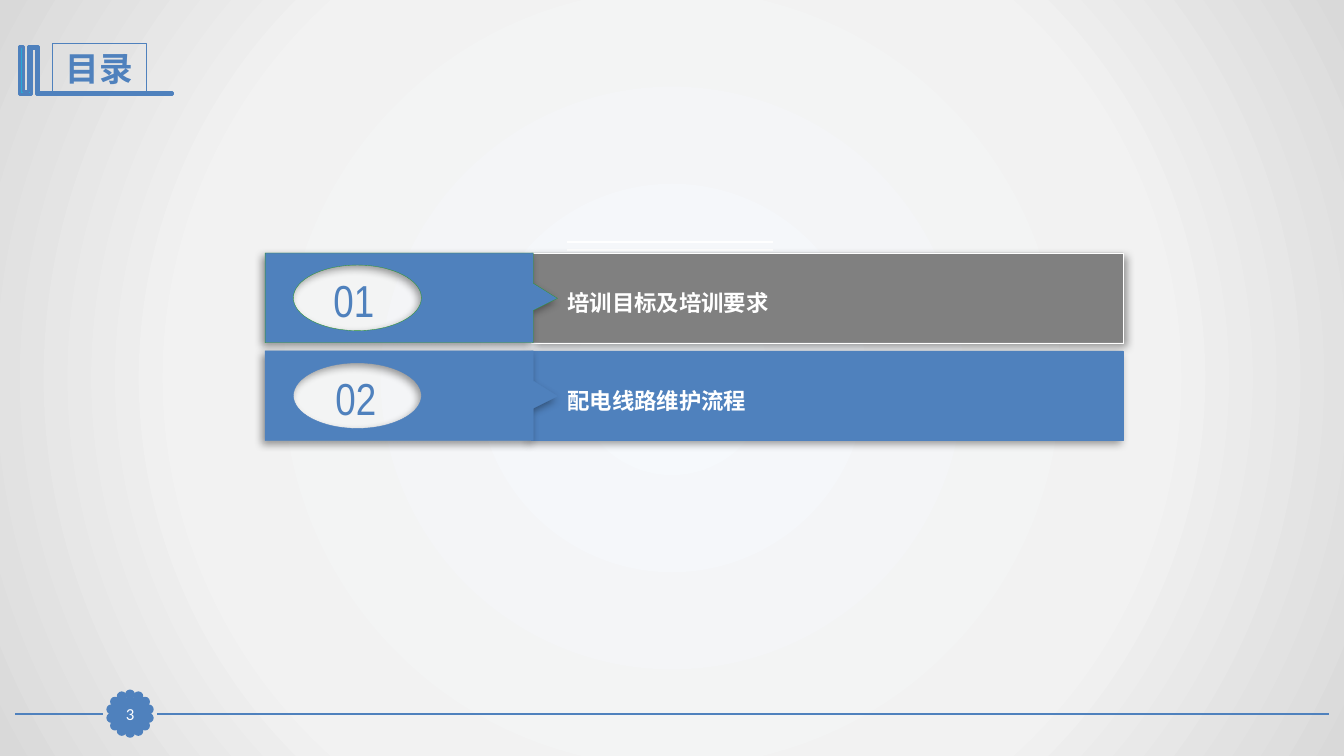
import math

from pptx import Presentation
from pptx import util as u
from pptx.dml.color import RGBColor
from pptx.enum import shapes, text
from pptx.oxml import parse_xml
from pptx.oxml.ns import nsdecls, qn

BLUE = RGBColor(0x4F, 0x81, 0xBD)
CYAN = RGBColor(0x28, 0xA9, 0xD6)
GREEN = RGBColor(0x33, 0x99, 0x33)
GRAY = RGBColor(0x80, 0x80, 0x80)
WHITE = RGBColor(0xFF, 0xFF, 0xFF)
BACKDROP = [(0, "F6F9FC"), (63, "F2F2F2"), (100, "D9D9D9")]

ROW_H, ROW_PITCH = 0.89, 0.97
ROWS = [  # number, its centre, heading, bar fill, bar line, tab line, bar shadow angle
    ("01", 0.88, "培训目标及培训要求", GRAY, WHITE, GREEN, 45),
    ("02", 0.9, "配电线路维护流程", BLUE, BLUE, BLUE, 135),
]


def set_text(sp, value, size, font, color, bold=False,
             align=text.PP_ALIGN.CENTER, anchor=text.MSO_ANCHOR.MIDDLE, inset=None):
    tf = sp.text_frame
    tf.word_wrap = True
    tf.auto_size = text.MSO_AUTO_SIZE.NONE
    tf.vertical_anchor = anchor
    if inset is not None:
        tf.margin_left = tf.margin_right = tf.margin_top = tf.margin_bottom = u.Inches(inset)
    p = tf.paragraphs[0]
    p.alignment = align
    r = p.add_run()
    r.text = value
    r.font.size, r.font.name, r.font.bold = u.Pt(size), font, bold
    r.font.color.rgb = color


def style(sp, fill, line, width, shadow_angle=None):
    sp.fill.solid()
    sp.fill.fore_color.rgb = fill
    sp.line.color.rgb = line
    sp.line.width = u.Pt(width)
    sp.shadow.inherit = False
    if shadow_angle is not None:
        sp._element.spPr.find(qn("a:effectLst")).append(parse_xml(
            f'<a:outerShdw {nsdecls("a")} blurRad="{u.Pt(6)}" dist="{u.Pt(3)}" '
            f'dir="{shadow_angle * 60000}" rotWithShape="0"><a:srgbClr val="000000">'
            '<a:alpha val="40000"/></a:srgbClr></a:outerShdw>'))


def add_shape(s, kind, x, y, w, h, *look):
    sp = s.shapes.add_shape(kind, u.Inches(x), u.Inches(y), u.Inches(w), u.Inches(h))
    style(sp, *look)
    return sp


def add_textbox(s, x, y, w, h, value, **fmt):
    tb = s.shapes.add_textbox(u.Inches(x), u.Inches(y), u.Inches(w), u.Inches(h))
    set_text(tb, value, **fmt)


def add_outline(s, x, y, points, *look):
    """Closed outline, in inches from the corner (x, y)."""
    scaled = [(u.Inches(x + dx), u.Inches(y + dy)) for dx, dy in points]
    fb = s.shapes.build_freeform(*scaled[0], scale=1.0)
    fb.add_line_segments(scaled[1:], close=True)
    sp = fb.convert_to_shape()
    style(sp, *look)
    return sp


def cut_oval(sp, cx, cy, rx, ry):
    """Adds an oval hole to a freeform, as four curves in inches from its corner."""
    def pt(dx, dy):
        return f'<a:pt x="{u.Inches(cx + dx * rx)}" y="{u.Inches(cy + dy * ry)}"/>'

    k = 0.55
    quarters = [((-k, -1), (-1, -k), (-1, 0)), ((-1, k), (-k, 1), (0, 1)),
                ((k, 1), (1, k), (1, 0)), ((1, -k), (k, -1), (0, -1))]
    curves = "".join("<a:cubicBezTo>" + "".join(pt(*q) for q in quarter) + "</a:cubicBezTo>"
                     for quarter in quarters)
    oval = parse_xml(f'<a:path {nsdecls("a")}><a:moveTo>{pt(0, -1)}</a:moveTo>'
                     f'{curves}<a:close/></a:path>')
    outline = next(sp._element.iter(qn("a:path")))
    outline.extend(list(oval))


def add_line(s, x1, x2, y, color, width):
    cn = s.shapes.add_connector(shapes.MSO_CONNECTOR.STRAIGHT, u.Inches(x1), u.Inches(y),
                                u.Inches(x2), u.Inches(y))
    cn.line.color.rgb = color
    cn.line.width = u.Pt(width)
    cn._element.spPr.append(parse_xml(f'<a:effectLst {nsdecls("a")}/>'))


def set_background(s):
    stops = "".join(f'<a:gs pos="{pos * 1000}"><a:srgbClr val="{c}"/></a:gs>'
                    for pos, c in BACKDROP)
    s._element.cSld.insert(0, parse_xml(
        f'<p:bg {nsdecls("p", "a")}><p:bgPr><a:gradFill rotWithShape="1"><a:gsLst>{stops}'
        '</a:gsLst><a:path path="circle"><a:fillToRect l="50000" t="50000" r="50000" '
        'b="50000"/></a:path></a:gradFill><a:effectLst/></p:bgPr></p:bg>'))


def add_header(s, x, y):
    # Folded ribbon that runs on below the title
    ribbon = [(0.18, 0), (0.19, 0), (0.19, 0.46), (1.52, 0.46), (1.52, 0.48), (0.18, 0.48),
              (0.17, 0.48), (0.17, 0.02), (0.12, 0.02), (0.12, 0.48), (0, 0.48), (0, 0),
              (0.04, 0), (0.04, 0.45), (0.09, 0.45), (0.09, 0)]
    add_outline(s, x, y, ribbon, CYAN, BLUE, 2)
    # Boxed title
    title = s.shapes.title
    title.left, title.top = u.Inches(x + 0.33), u.Inches(y - 0.03)
    title.width, title.height = u.Inches(0.93), u.Inches(0.5)
    title.line.color.rgb = BLUE
    title.line.width = u.Pt(0.75)
    set_text(title, "目录", 24, "Arial Narrow", BLUE, bold=True)


def add_row(s, x, y, number, number_cx, heading, fill, bar_line, tab_line, angle):
    row = s.shapes.add_group_shape()
    # Heading bar
    add_shape(row, shapes.MSO_SHAPE.RECTANGLE, x + 2.64, y, 5.87, ROW_H,
              fill, bar_line, 0.25, angle)
    # Pointed tab with an oval window
    tab = [(0, 0), (2.66, 0), (2.66, 0.3), (2.9, 0.45), (2.66, 0.57),
           (2.66, ROW_H), (0, ROW_H)]
    cut_oval(add_outline(row, x, y, tab, BLUE, tab_line, 0.25, 135),
             0.915, 0.445, 0.635, 0.325)
    # Number and heading
    add_textbox(row, x + number_cx - 0.48, y + 0.14, 0.96, 0.64, number,
                size=32, font="Arial Narrow", color=BLUE)
    add_textbox(row, x + 2.9, y + 0.31, 5.61, 0.37, heading, size=16, font="Calibri",
                color=WHITE, bold=True, align=text.PP_ALIGN.LEFT,
                anchor=text.MSO_ANCHOR.TOP)


def add_contents(s, x, y):
    # Pair of white rules above the list
    for dy in (-0.11, -0.03):
        add_line(s, x + 2.99, x + 5.04, y + dy, WHITE, 1.5)
    for i, row in enumerate(ROWS):
        add_row(s, x, y + i * ROW_PITCH, *row)


def add_footer(s, left, right, y):
    cx, gap, radius, petal, petals = 1.29, 0.27, 0.19, 0.07, 14
    add_line(s, right, cx + gap, y, BLUE, 1.25)
    add_line(s, cx - gap, left, y, BLUE, 1.25)
    # Scalloped page badge
    scallops = s.shapes.add_group_shape()
    for i in range(petals):
        a = math.tau * i / petals
        add_shape(scallops, shapes.MSO_SHAPE.OVAL, cx + radius * math.sin(a) - petal / 2,
                  y - radius * math.cos(a) - petal / 2, petal, petal, BLUE, BLUE, 2)
    badge = add_shape(s, shapes.MSO_SHAPE.RECTANGLE, cx - 0.16, y - 0.15, 0.32, 0.31,
                      BLUE, BLUE, 0.75)
    set_text(badge, "3", 12, "Calibri", WHITE, inset=0)


def main():
    prs = Presentation()
    prs.slide_width, prs.slide_height = u.Inches(13.33), u.Inches(7.5)
    s = prs.slides.add_slide(prs.slide_layouts[5])
    set_background(s)
    add_footer(s, 0.15, 13.18, 7.08)
    add_header(s, 0.19, 0.46)
    add_contents(s, 2.63, 2.51)
    prs.save("out.pptx")


if __name__ == "__main__":
    main()
